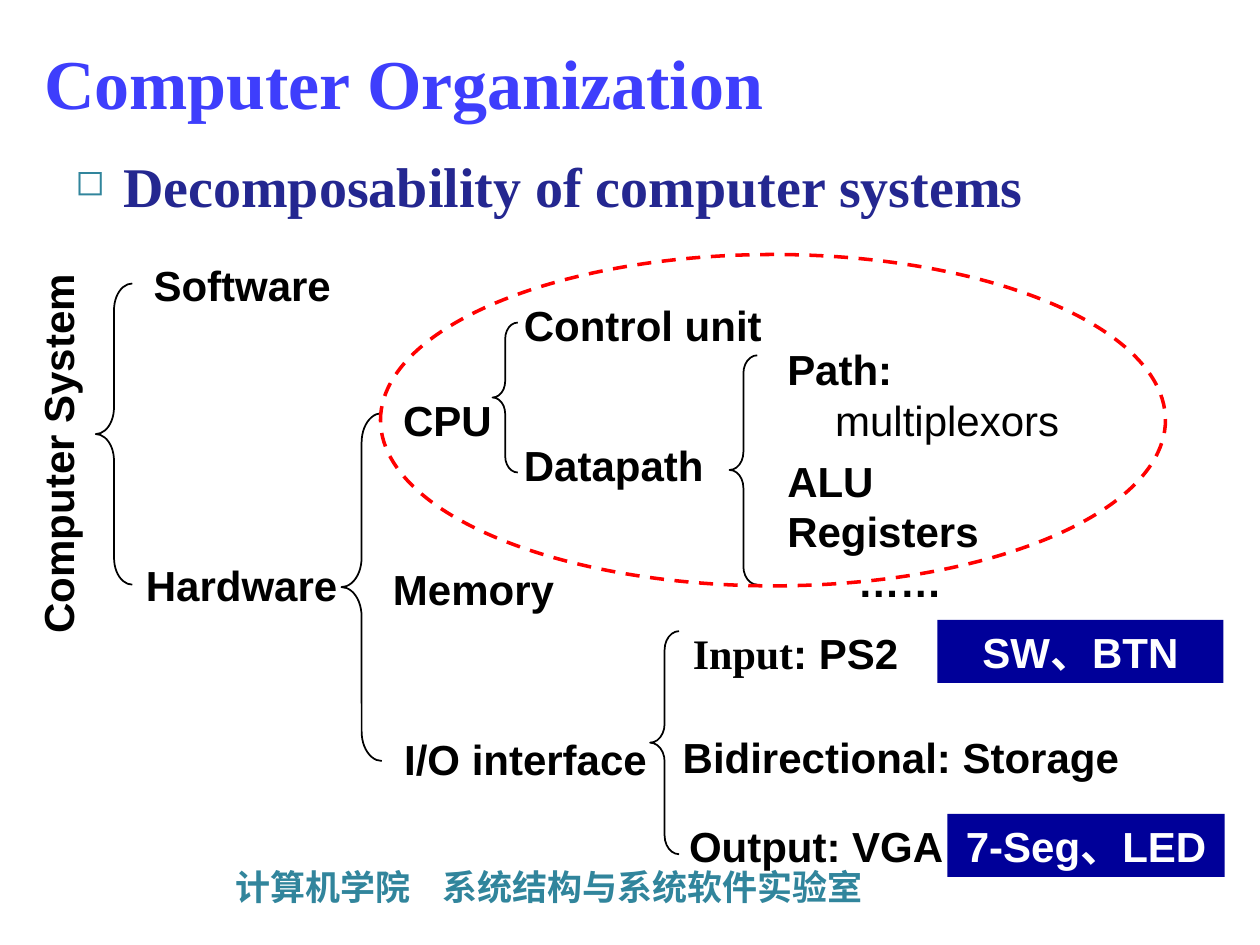
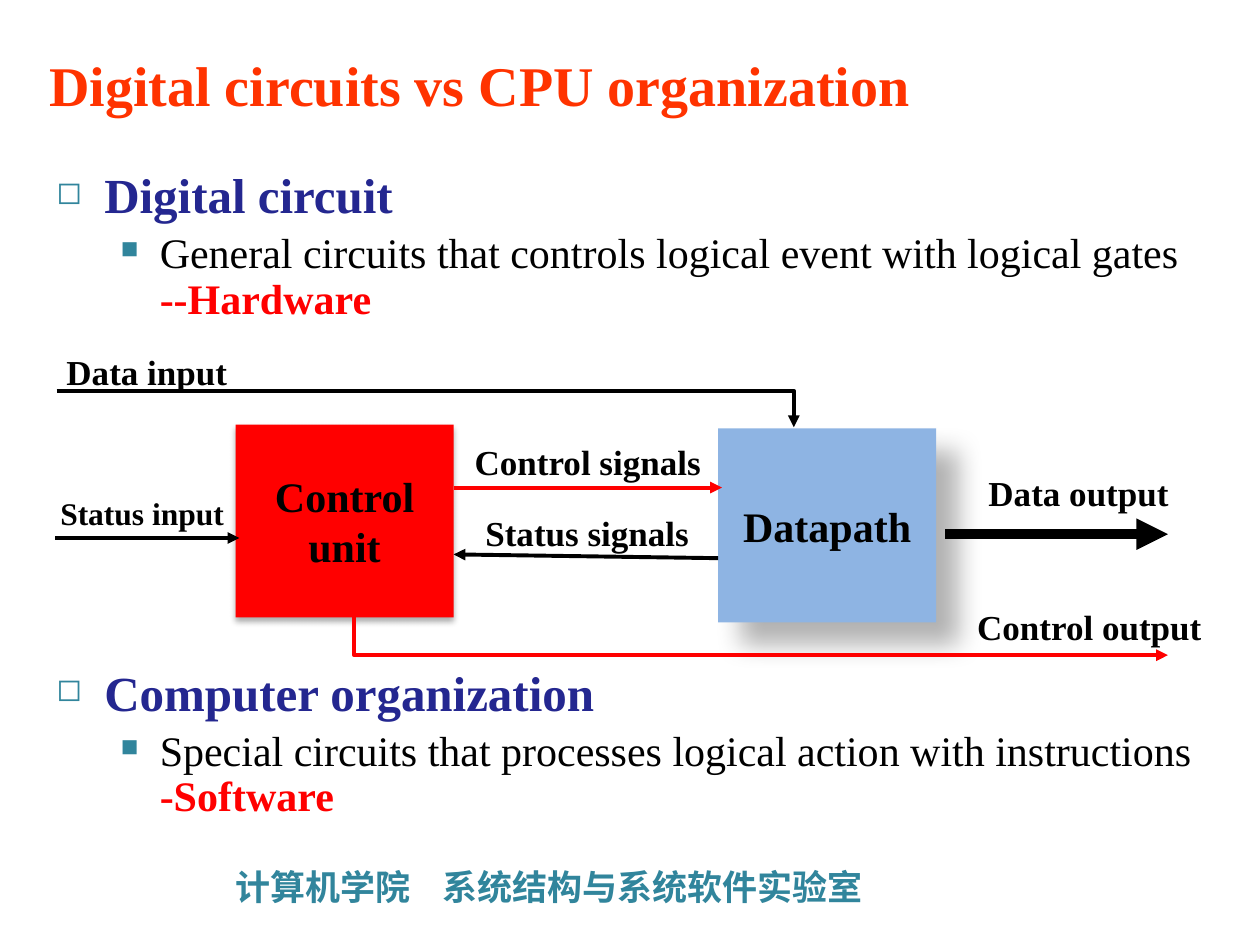
import pptx
import pptx.dml.color
import pptx.enum.dml
import pptx.enum.shapes
import pptx.enum.text
import pptx.oxml.ns
import pptx.util
from lxml import etree

Inches = pptx.util.Inches
Pt = pptx.util.Pt
RGBColor = pptx.dml.color.RGBColor
Shape = pptx.enum.shapes.MSO_SHAPE
Align = pptx.enum.text.PP_ALIGN
Anchor = pptx.enum.text.MSO_ANCHOR

BLACK = RGBColor(0x00, 0x00, 0x00)
WHITE = RGBColor(0xFF, 0xFF, 0xFF)
RED = RGBColor(0xFF, 0x00, 0x00)
ORANGE = RGBColor(0xFF, 0x33, 0x00)
TITLE_BLUE = RGBColor(0x3E, 0x3E, 0xFC)
HEADING_BLUE = RGBColor(0x24, 0x27, 0x90)
DEVICE_BLUE = RGBColor(0x00, 0x00, 0x99)
LIGHT_BLUE = RGBColor(0x8E, 0xB4, 0xE3)
TEAL = RGBColor(0x31, 0x85, 0x9C)

SERIF = "Times New Roman"
SANS = "Arial"
CHINESE = "Noto Sans CJK SC"


def add_xml(parent, tag, **attributes):
    element = etree.SubElement(parent, pptx.oxml.ns.qn(tag))
    for name, value in attributes.items():
        element.set(name, str(value))
    return element


# Text
def add_span(para, text, size, color=BLACK, font=SANS, bold=True):
    span = para.add_run()
    span.text = text
    span.font.size = Pt(size)
    span.font.bold = bold
    span.font.color.rgb = color
    span.font.name = font
    add_xml(span.font._element, "a:ea", typeface=CHINESE)


def set_indent(para, left, first):
    properties = para._p.get_or_add_pPr()
    properties.set("marL", str(Inches(left)))
    properties.set("indent", str(Inches(first)))
    return properties


def add_box(page, left, top, width, height, wrap=True):
    box = page.shapes.add_textbox(
        Inches(left), Inches(top), Inches(width), Inches(height))
    box.text_frame.word_wrap = wrap
    return box


def add_label(page, text, left, top, width, height=0.5, size=24, font=SANS,
              align=Align.LEFT, wrap=True):
    box = add_box(page, left, top, width, height, wrap)
    para = box.text_frame.paragraphs[0]
    para.alignment = align
    add_span(para, text, size, font=font)
    return box


def add_bullet(para, char, percent, left, first, space, line_spacing):
    para.line_spacing = line_spacing
    para.space_before = Pt(space)
    properties = set_indent(para, left, first)
    add_xml(add_xml(properties, "a:buClr"), "a:srgbClr", val=TEAL)
    add_xml(properties, "a:buSzPct", val=percent * 1000)
    add_xml(properties, "a:buChar", char=char)


def add_heading(box, text, size, line_spacing=1.0):
    para = box.text_frame.paragraphs[0]
    add_bullet(para, "◻", 64, 0.38, -0.38, size * 0.2, line_spacing)
    add_span(para, text, size, HEADING_BLUE, SERIF)


def add_topic(page, top, heading, detail, conclusion):
    box = add_box(page, 0.35, top, 9.34, 1.4)
    add_heading(box, heading, 28, 0.9)
    para = box.text_frame.add_paragraph()
    add_bullet(para, "■", 58, 0.82, -0.31, 4.8, 0.9)
    add_span(para, detail, 24, font=SERIF, bold=False)
    add_span(para, conclusion, 24, RED, SERIF)


# Shapes and lines
def add_outline(page, kind, left, top, width, height, color, weight):
    shape = page.shapes.add_shape(
        kind, Inches(left), Inches(top), Inches(width), Inches(height))
    shape.shadow.inherit = False
    shape.fill.background()
    shape.line.color.rgb = color
    shape.line.width = Pt(weight)
    return shape


def add_brace(page, left, top, width, height, curve):
    brace = add_outline(page, Shape.LEFT_BRACE, left, top, width, height, BLACK, 1)
    brace.adjustments[0] = curve
    brace.adjustments[1] = 0.5


def add_block(page, lines, left, top, width, height, fill, color, font):
    block = page.shapes.add_shape(
        Shape.RECTANGLE, Inches(left), Inches(top), Inches(width), Inches(height))
    block.shadow.inherit = False
    block.fill.solid()
    block.fill.fore_color.rgb = fill
    block.line.fill.background()
    frame = block.text_frame
    frame.word_wrap = True
    frame.margin_left = frame.margin_right = 0
    frame.vertical_anchor = Anchor.MIDDLE
    para = frame.paragraphs[0]
    para.alignment = Align.CENTER
    for index, line in enumerate(lines):
        if index:
            para.add_line_break()
        add_span(para, line, 24, color, font)
    return block


def add_shadow(shape, alpha, blur, distance, angle):
    effects = shape._element.spPr.find(pptx.oxml.ns.qn("a:effectLst"))
    shadow = add_xml(effects, "a:outerShdw", blurRad=Pt(blur), dist=Pt(distance),
                     dir=angle * 60000, algn="tl", rotWithShape=0)
    color = add_xml(shadow, "a:srgbClr", val=BLACK)
    add_xml(color, "a:alpha", val=alpha * 1000)


def finish_arrow(arrow, color, weight):
    arrow.line.color.rgb = color
    arrow.line.width = Pt(weight)
    add_xml(arrow.line._get_or_add_ln(), "a:tailEnd", type="triangle")


def add_arrow(page, start, end, color=BLACK, weight=2.25):
    arrow = page.shapes.add_connector(
        pptx.enum.shapes.MSO_CONNECTOR.STRAIGHT,
        *[Inches(value) for value in start + end])
    finish_arrow(arrow, color, weight)
    add_xml(arrow._element.spPr, "a:effectLst")


def add_bent_arrow(page, points, color):
    corners = [(Inches(x), Inches(y)) for x, y in points]
    builder = page.shapes.build_freeform(*corners[0])
    builder.add_line_segments(corners[1:], close=False)
    arrow = builder.convert_to_shape()
    arrow.shadow.inherit = False
    arrow.fill.background()
    finish_arrow(arrow, color, 2.25)


# Page frame: title and footer
def add_page(deck, text, left, top, width, height, size, color):
    page = deck.slides.add_slide(deck.slide_layouts[5])
    title = page.shapes.title
    title.left, title.top = Inches(left), Inches(top)
    title.width, title.height = Inches(width), Inches(height)
    title.text_frame.vertical_anchor = Anchor.MIDDLE
    para = title.text_frame.paragraphs[0]
    para.alignment = Align.LEFT
    add_span(para, text, size, color, SERIF)

    footer = add_box(page, 1.77, 6.82, 7.24, 0.44)
    para = footer.text_frame.paragraphs[0]
    stops = add_xml(para._p.get_or_add_pPr(), "a:tabLst")
    add_xml(stops, "a:tab", pos=Inches(1.64), algn="l")
    add_span(para, "计算机学院\t系统结构与系统软件实验室", 20, TEAL, CHINESE)
    return page


def add_datapath_parts(page):
    frame = add_box(page, 6.15, 2.68, 2.36, 2.2).text_frame
    parts = [("Path: ", 6, 0.38, -0.38), ("ALU", 6, 0.38, -0.38),
             ("Registers", 0, 0.38, -0.38), ("……", 0, 0.56, 0)]
    for index, (text, space, left, first) in enumerate(parts):
        para = frame.add_paragraph() if index else frame.paragraphs[0]
        para.space_before = Pt(space)
        set_indent(para, left, first)
        add_span(para, text, 24)
    add_span(frame.paragraphs[0], "multiplexors", 24, bold=False)


def build_organization(deck):
    page = add_page(deck, "Computer Organization", 0.25, 0.13, 8.61, 1.04,
                    40, TITLE_BLUE)
    add_heading(add_box(page, 0.5, 1.15, 9, 0.7),
                "Decomposability of computer systems", 32)

    # Component tree
    add_label(page, "Computer System", -1.1, 3.32, 3.11).rotation = 270
    for text, left, top, width in [
            ("Software", 1.12, 2.01, 1.62), ("Hardware", 1.06, 4.39, 1.74),
            ("CPU", 3.1, 3.08, 1.42), ("Memory", 3.02, 4.42, 1.81),
            ("I/O interface", 3.11, 5.77, 2.2),
            ("Control unit", 4.06, 2.33, 2.36), ("Datapath", 4.06, 3.44, 1.73),
            ("Bidirectional: Storage", 5.32, 5.76, 3.7),
            ("Output: VGA", 5.37, 6.46, 2.52)]:
        add_label(page, text, left, top, width, wrap=False)
    input_label = add_label(page, "Input", 5.4, 4.93, 2.52, font=SERIF)
    add_span(input_label.text_frame.paragraphs[0], ": PS2", 24)
    add_datapath_parts(page)

    for brace in [(0.76, 2.25, 0.29, 2.39, 0.73), (2.71, 3.28, 0.32, 2.76, 0.73),
                  (3.91, 2.56, 0.2, 1.19, 0.65), (5.79, 2.82, 0.22, 1.82, 0.65),
                  (5.16, 5.01, 0.23, 1.77, 0.65)]:
        add_brace(page, *brace)

    # Board devices and the CPU outline
    add_block(page, ["SW、BTN"], 7.44, 4.92, 2.27, 0.5, DEVICE_BLUE, WHITE, SANS)
    add_block(page, ["7-Seg、LED"], 7.52, 6.46, 2.2, 0.5, DEVICE_BLUE, WHITE, SANS)
    cpu_outline = add_outline(page, Shape.OVAL, 3.02, 2.02, 6.23, 2.63, RED, 2)
    cpu_outline.line.dash_style = pptx.enum.dml.MSO_LINE.DASH


def build_circuits(deck):
    page = add_page(deck, "Digital circuits vs CPU organization",
                    0.29, 0.31, 9.34, 0.72, 32, ORANGE)
    add_topic(page, 1.31, "Digital circuit",
              "General circuits that controls logical event with logical gates ",
              "--Hardware")
    add_topic(page, 5.26, "Computer organization",
              "Special circuits that processes logical action with instructions ",
              "-Software")

    # Units
    control = add_block(page, ["Control", "unit"], 1.87, 3.37, 1.73, 1.53,
                        RED, BLACK, SERIF)
    add_shadow(control, 32, 3.5, 2.2, 90)
    datapath = add_block(page, ["Datapath"], 5.7, 3.4, 1.73, 1.54,
                         LIGHT_BLUE, BLACK, SERIF)
    add_shadow(datapath, 30, 15, 18, 45)

    # Signals
    add_arrow(page, (3.6, 3.87), (5.73, 3.87), RED)
    add_arrow(page, (5.7, 4.43), (3.6, 4.4))
    add_arrow(page, (0.44, 4.27), (1.9, 4.27))
    add_arrow(page, (7.5, 4.24), (9.27, 4.24), weight=6)
    add_bent_arrow(page, [(2.81, 4.9), (2.81, 5.2), (9.27, 5.2)], RED)
    add_bent_arrow(page, [(0.45, 3.1), (6.3, 3.1), (6.3, 3.39)], BLACK)

    for text, left, top, width in [
            ("Control signals", 3.6, 3.45, 2.13), ("Status signals", 3.7, 4.01, 1.92),
            ("Control output", 7.64, 4.76, 2.01), ("Data input", 0.22, 2.73, 1.89),
            ("Data output", 7.45, 3.69, 2.22)]:
        add_label(page, text, left, top, width, 0.44, 20, SERIF, Align.CENTER)
    add_label(page, "Status input", 0.38, 3.87, 1.51, 0.4, 18, SERIF, wrap=False)


def main():
    deck = pptx.Presentation()
    deck.slide_width, deck.slide_height = Inches(10), Inches(7.5)
    build_organization(deck)
    build_circuits(deck)
    deck.save("out.pptx")


if __name__ == "__main__":
    main()
